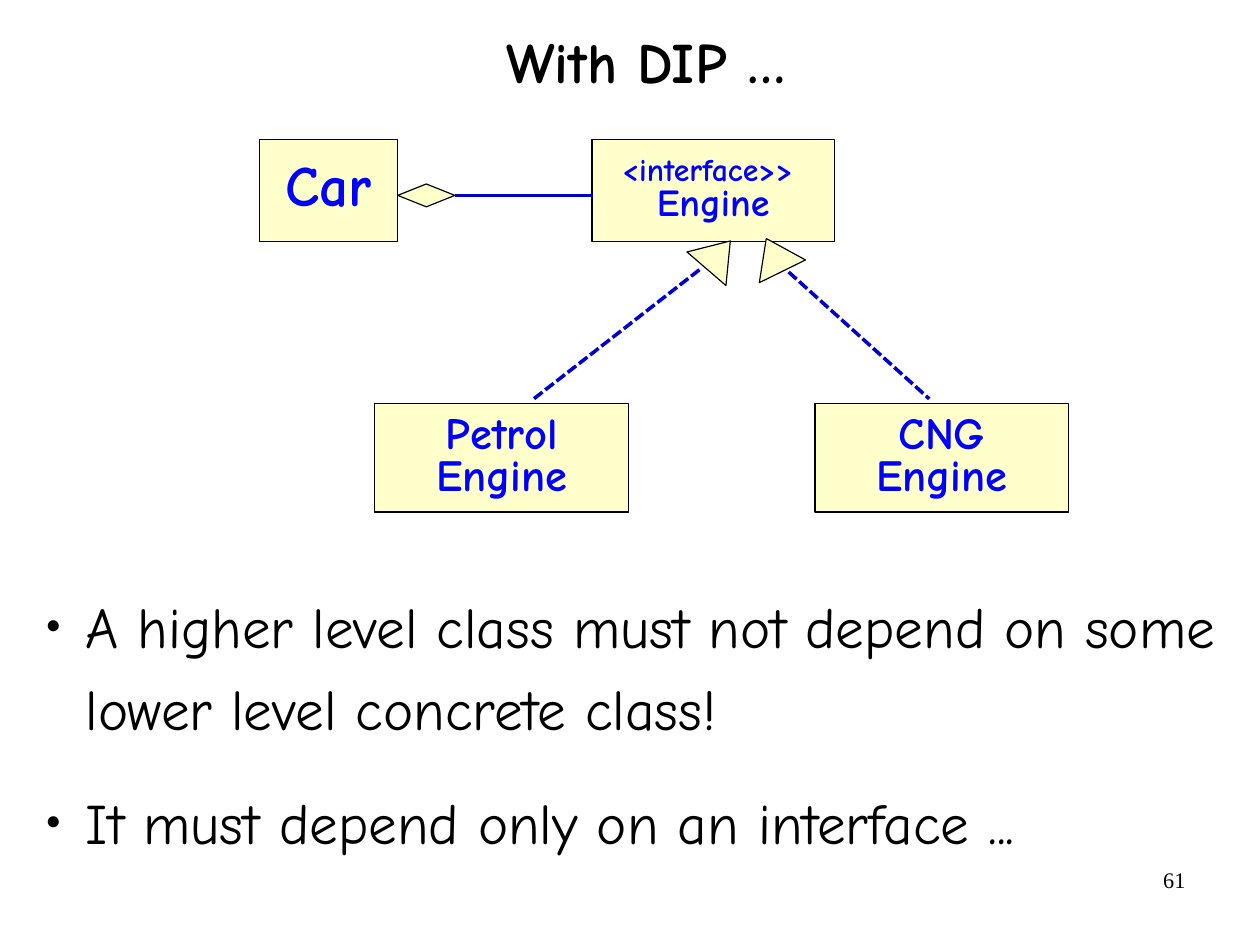
from lxml import etree
from pptx import Presentation
from pptx import util as u
from pptx.dml.color import RGBColor
from pptx.enum import dml, shapes, text
from pptx.oxml.ns import qn

FONT, SERIF = "Comic Neue", "Times New Roman"
CREAM, BLACK, BLUE, LINE_BLUE = "FFFFCC", "000000", "0000FF", "0000CC"
CM_PER_INCH = 2.54
SHAPE = shapes.MSO_SHAPE
ALIGN = text.PP_ALIGN
MIDDLE = text.MSO_ANCHOR.MIDDLE


def rgb(value):
    return RGBColor.from_string(value)


def box(left, top, width, height):
    return [u.Inches(v) for v in (left, top, width, height)]


def write(p, content, size, font=FONT, color=BLACK, bold=False,
          align=ALIGN.LEFT, spacing=None, before=0, after=0):
    p.alignment = align
    p.line_spacing = spacing
    p.space_before = u.Pt(before)
    p.space_after = u.Pt(after)
    r = p.add_run()
    r.text = content
    r.font.name = font
    r.font.size = u.Pt(size)
    r.font.bold = bold
    r.font.color.rgb = rgb(color)


def paragraph(tf, index):
    return tf.paragraphs[0] if index == 0 else tf.add_paragraph()


def add_text_box(slide, at, inset=(0.11, 0.06), anchor=text.MSO_ANCHOR.TOP):
    tf = slide.shapes.add_textbox(*box(*at)).text_frame
    tf.word_wrap = True
    tf.vertical_anchor = anchor
    tf.margin_left = tf.margin_right = u.Inches(inset[0])
    tf.margin_top = tf.margin_bottom = u.Inches(inset[1])
    return tf


def add_bullet(p):
    pPr = p._p.get_or_add_pPr()
    pPr.set("marL", str(u.Inches(0.46)))
    pPr.set("indent", str(u.Inches(-0.35)))
    color = etree.SubElement(pPr, qn("a:buClr"))
    etree.SubElement(color, qn("a:srgbClr"), val=BLACK)
    etree.SubElement(pPr, qn("a:buSzPct"), val="45000")
    etree.SubElement(pPr, qn("a:buFont"), typeface=SERIF)
    etree.SubElement(pPr, qn("a:buChar"), char="●")


def add_symbol(slide, kind, at, rotation=0):
    sp = slide.shapes.add_shape(kind, *box(*at))
    sp.rotation = rotation
    sp.shadow.inherit = False
    sp.fill.solid()
    sp.fill.fore_color.rgb = rgb(CREAM)
    sp.line.color.rgb = rgb(BLACK)
    sp.line.width = u.Pt(0.75)
    return sp


def add_class(slide, at, lines):
    sp = add_symbol(slide, SHAPE.RECTANGLE, at)
    tf = sp.text_frame
    tf.word_wrap = False
    tf.vertical_anchor = MIDDLE
    for i, (label, size) in enumerate(lines):
        write(paragraph(tf, i), label, size, color=BLUE, bold=True,
              align=ALIGN.CENTER, spacing=0.8)


def add_line(slide, start, end, dash=None):
    ends = [u.Inches(v) for v in (*start, *end)]
    line = slide.shapes.add_connector(shapes.MSO_CONNECTOR.STRAIGHT, *ends)
    line.line.color.rgb = rgb(LINE_BLUE)
    line.line.width = u.Pt(2.25)
    if dash:
        line.line.dash_style = dash
    etree.SubElement(line._element.spPr, qn("a:effectLst"))
    return line


def add_diagram(slide):
    add_class(slide, (2.27, 1.22, 1.21, 0.89), [("Car", 36)])
    add_class(slide, (5.18, 1.22, 2.12, 0.89),
              [("<interface>> ", 20), ("Engine", 24)])
    for left, fuel in ((3.28, "Petrol"), (7.13, "CNG")):
        add_class(slide, (left, 3.53, 2.22, 0.95),
                  [(fuel, 28), ("Engine", 28)])

    diamond = add_symbol(slide, SHAPE.DIAMOND, (3.48, 1.61, 0.5, 0.2))
    aggregation = add_line(slide, (3.98, 1.71), (5.19, 1.71))
    aggregation.begin_connect(diamond, 3)

    for left, rotation, start, end in (
        (6.06, 40.7, (6.12, 2.36), (4.67, 3.49)),
        (6.55, 333.8, (6.9, 2.38), (8.13, 3.49)),
    ):
        add_symbol(slide, SHAPE.FLOWCHART_EXTRACT,
                   (left, 2.07, 0.45, 0.32), rotation)
        add_line(slide, start, end, dml.MSO_LINE.SQUARE_DOT)


def add_bullets(slide, at, items):
    tf = add_text_box(slide, at)
    for i, item in enumerate(items):
        p = paragraph(tf, i)
        add_bullet(p)
        write(p, item, 36, spacing=1.2, before=6 if i else 0, after=13.8)


def main():
    prs = Presentation()
    prs.slide_width = u.Inches(28 / CM_PER_INCH)
    prs.slide_height = u.Inches(21 / CM_PER_INCH)
    slide = prs.slides.add_slide(prs.slide_layouts[6])

    number = add_text_box(slide, (7.9, 7.53, 2.57, 0.57), (0.1, 0.05))
    write(number.paragraphs[0], "61", 14, font=SERIF, align=ALIGN.RIGHT)
    title = add_text_box(slide, (0.6, 0.3, 10.1, 0.55), anchor=MIDDLE)
    write(title.paragraphs[0], "With DIP …", 36, bold=True,
          align=ALIGN.CENTER, spacing=0.88)
    add_bullets(slide, (0.18, 4.99, 10.85, 2.58), [
        "A higher level class must not depend on some "
        "lower level concrete class!",
        "It must depend only on an interface ...",
    ])
    add_diagram(slide)
    prs.save("out.pptx")


if __name__ == "__main__":
    main()
